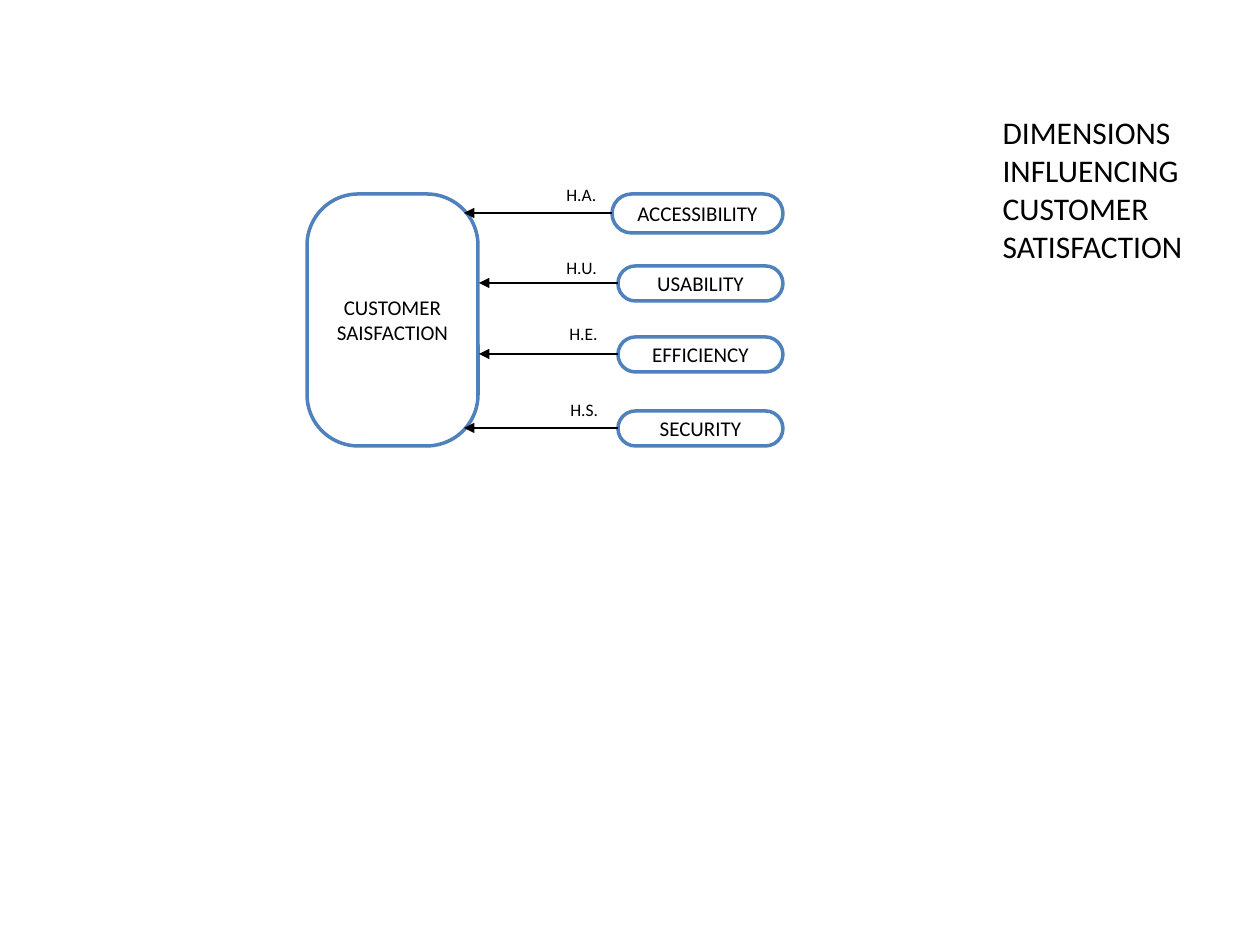
from dataclasses import dataclass

from lxml import etree
from pptx import Presentation
from pptx import util as u
from pptx.dml.color import RGBColor
from pptx.enum import shapes, text
from pptx.oxml.ns import qn

SCALE = 914400 / 126  # EMU per px
FONT = "Calibri"
BLACK = RGBColor(0x00, 0x00, 0x00)
WHITE = RGBColor(0xFF, 0xFF, 0xFF)
BLUE = RGBColor(0x4F, 0x81, 0xBD)


@dataclass(frozen=True)
class Box:
    left: int
    top: int
    width: int
    height: int

    @property
    def middle(self) -> int:
        return self.top + self.height // 2

    def emu(self) -> list[u.Emu]:
        return [px(v) for v in (self.left, self.top, self.width, self.height)]


@dataclass(frozen=True)
class Dimension:
    name: str
    box: Box
    hypothesis: str
    label: Box
    arrow_tip: int


SATISFACTION = Box(307, 194, 171, 252)
HEADING = Box(990, 107, 270, 165)
DIMENSIONS = [
    Dimension("ACCESSIBILITY", Box(612, 194, 171, 39), "H.A.", Box(554, 178, 55, 34), 464),
    Dimension("USABILITY", Box(618, 266, 165, 35), "H.U.", Box(554, 251, 57, 34), 479),
    Dimension("EFFICIENCY", Box(618, 337, 165, 35), "H.E.", Box(557, 317, 54, 34), 479),
    Dimension("SECURITY", Box(618, 411, 165, 35), "H.S.", Box(558, 393, 53, 34), 464),
]


def px(length: int) -> u.Emu:
    return u.Emu(round(length * SCALE))


def write(frame, words: str, size: int, align) -> None:
    para = frame.paragraphs[0]
    para.alignment = align
    span = para.add_run()
    span.text = words
    span.font.name = FONT
    span.font.size = u.Pt(size)
    span.font.color.rgb = BLACK


def draw_rounded(page, box: Box, words: str, rounding: float) -> None:
    shape = page.shapes.add_shape(shapes.MSO_SHAPE.ROUNDED_RECTANGLE, *box.emu())
    shape.adjustments[0] = rounding
    shape.shadow.inherit = False
    shape.fill.solid()
    shape.fill.fore_color.rgb = WHITE
    shape.line.color.rgb = BLUE
    shape.line.width = u.Pt(2)
    shape.text_frame.vertical_anchor = text.MSO_ANCHOR.MIDDLE
    write(shape.text_frame, words, 12, text.PP_ALIGN.CENTER)


def draw_arrow(page, tip: int, start: int, y: int) -> None:
    arrow = page.shapes.add_connector(
        shapes.MSO_CONNECTOR.STRAIGHT, px(tip), px(y), px(start), px(y)
    )
    arrow.line.color.rgb = BLACK
    arrow.line.width = u.Pt(0.75)
    properties = arrow._element.spPr
    etree.SubElement(properties.find(qn("a:ln")), qn("a:headEnd"), type="triangle")
    etree.SubElement(properties, qn("a:effectLst"))


def draw_label(page, box: Box, words: str) -> None:
    frame = page.shapes.add_textbox(*box.emu()).text_frame
    frame.word_wrap = False
    frame.auto_size = text.MSO_AUTO_SIZE.SHAPE_TO_FIT_TEXT
    write(frame, words, 10, text.PP_ALIGN.LEFT)


def draw_heading(page, box: Box, words: str) -> None:
    title = page.shapes.title
    title.left, title.top, title.width, title.height = box.emu()
    frame = title.text_frame
    frame.word_wrap = True
    frame.auto_size = text.MSO_AUTO_SIZE.SHAPE_TO_FIT_TEXT
    frame.vertical_anchor = text.MSO_ANCHOR.TOP
    write(frame, words, 18, text.PP_ALIGN.LEFT)


def main() -> None:
    deck = Presentation()
    deck.slide_width, deck.slide_height = px(1260), px(945)
    page = deck.slides.add_slide(deck.slide_layouts.get_by_name("Title Only"))

    # Heading and the outcome being explained
    draw_heading(page, HEADING, "DIMENSIONS INFLUENCING CUSTOMER SATISFACTION")
    draw_rounded(page, SATISFACTION, "CUSTOMER SAISFACTION", 0.3)

    # Each dimension with its hypothesis arrow
    for dimension in DIMENSIONS:
        draw_rounded(page, dimension.box, dimension.name, 0.5)
        draw_arrow(page, dimension.arrow_tip, dimension.box.left, dimension.box.middle)
        draw_label(page, dimension.label, dimension.hypothesis)

    deck.save("out.pptx")


if __name__ == "__main__":
    main()
